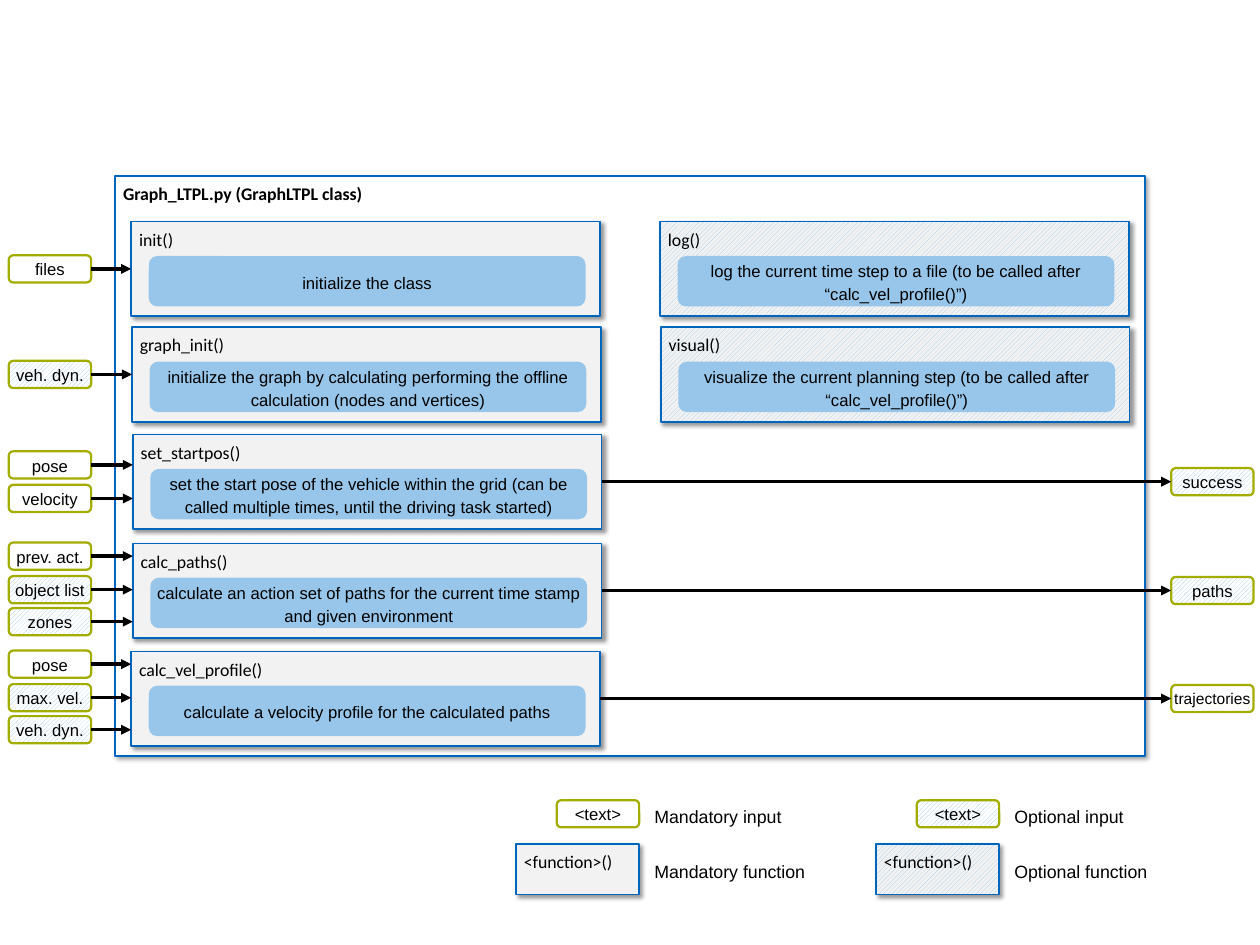
from lxml.etree import SubElement
from pptx import Presentation
from pptx.dml.color import RGBColor
from pptx.enum.dml import MSO_PATTERN
from pptx.enum.shapes import MSO_CONNECTOR, MSO_SHAPE
from pptx.enum.text import MSO_ANCHOR, MSO_AUTO_SIZE, PP_ALIGN
from pptx.oxml.ns import qn
from pptx.util import Inches, Pt

COLORS = {"black": "000000", "white": "FFFFFF", "blue": "0065BD",
          "light blue": "98C6EA", "gray": "F2F2F2", "green": "A2AD00"}
# kind: preset shape, fill, line, line width, font, size, alignment, anchor, margins
STYLES = {
    "class": (MSO_SHAPE.RECTANGLE, "white", "blue", 1.5, "Calibri", 16,
              PP_ALIGN.LEFT, MSO_ANCHOR.TOP, (0.1, 0.05)),
    "function": (MSO_SHAPE.RECTANGLE, "gray", "blue", 1.5, "Calibri", 16,
                 PP_ALIGN.LEFT, MSO_ANCHOR.TOP, (0.1, 0.05)),
    "description": (MSO_SHAPE.ROUNDED_RECTANGLE, "light blue", None, 0, "Arial", 15,
                    PP_ALIGN.CENTER, MSO_ANCHOR.MIDDLE, (0, 0)),
    "tag": (MSO_SHAPE.ROUNDED_RECTANGLE, "white", "green", 2, "Arial", 15,
            PP_ALIGN.CENTER, MSO_ANCHOR.TOP, (0, 0)),
}
TAG_WIDTH, TAG_HEIGHT = 1.03, 0.34
FUNCTION_WIDTH, FUNCTION_HEIGHT = 5.86, 1.18


def write_text(shape, text, font_name, size, alignment, anchor, margins):
    frame = shape.text_frame
    frame.word_wrap = True
    frame.vertical_anchor = anchor
    frame.margin_left = frame.margin_right = Inches(margins[0])
    frame.margin_top = frame.margin_bottom = Inches(margins[1])
    paragraph = frame.paragraphs[0]
    paragraph.alignment = alignment
    paragraph.line_spacing = 1.14
    run = paragraph.add_run()
    run.text = text
    run.font.name = font_name
    run.font.size = Pt(size)
    run.font.color.rgb = RGBColor.from_string(COLORS["black"])
    return run


def add_box(shapes, kind, text, left, top, width, height, optional=False):
    """Add a styled box; optional ones are hatched, square ones cast a shadow."""
    preset, fill, line, line_width, *text_style = STYLES[kind]
    shape = shapes.add_shape(preset, Inches(left), Inches(top), Inches(width), Inches(height))
    if optional:
        shape.fill.patterned()
        shape.fill.pattern = MSO_PATTERN.WIDE_UPWARD_DIAGONAL
        shape.fill.fore_color.rgb = RGBColor.from_string(COLORS["light blue"])
        shape.fill.back_color.rgb = RGBColor.from_string(COLORS[fill])
    else:
        shape.fill.solid()
        shape.fill.fore_color.rgb = RGBColor.from_string(COLORS[fill])
    if line:
        shape.line.color.rgb = RGBColor.from_string(COLORS[line])
        shape.line.width = Pt(line_width)
    else:
        shape.line.fill.background()
    shape.shadow.inherit = False
    if preset == MSO_SHAPE.RECTANGLE:
        effects = shape._element.spPr.find(qn("a:effectLst"))
        shadow = SubElement(effects, qn("a:outerShdw"), blurRad=str(Pt(4)), dist=str(Pt(3)),
                            dir="2700000", algn="tl", rotWithShape="0")
        color = SubElement(shadow, qn("a:srgbClr"), val=COLORS["black"])
        SubElement(color, qn("a:alpha"), val="40000")
    run = write_text(shape, text, *text_style)
    run.font.bold = kind == "class"
    return shape


presentation = Presentation()
presentation.slide_width = Inches(15.75)
presentation.slide_height = Inches(11.81)
slide = presentation.slides.add_slide(presentation.slide_layouts[6])

add_box(slide.shapes, "class", "Graph_LTPL.py (GraphLTPL class)", 1.44, 2.2, 12.87, 7.25)

# name, description, left, top, optional
functions = [
    ("init()", "initialize the class", 1.64, 2.77, False),
    ("graph_init()", "initialize the graph by calculating performing the offline "
     "calculation (nodes and vertices)", 1.65, 4.09, False),
    ("set_startpos()", "set the start pose of the vehicle within the grid (can be "
     "called multiple times, until the driving task started)", 1.66, 5.43, False),
    ("calc_paths()", "calculate an action set of paths for the current time stamp "
     "and given environment", 1.66, 6.79, False),
    ("calc_vel_profile()", "calculate a velocity profile for the calculated paths",
     1.64, 8.14, False),
    ("log()", "log the current time step to a file (to be called after "
     "“calc_vel_profile()”)", 8.25, 2.77, True),
    ("visual()", "visualize the current planning step (to be called after "
     "“calc_vel_profile()”)", 8.26, 4.09, True),
]
function_boxes = {}
for name, description, left, top, optional in functions:
    group = slide.shapes.add_group_shape()
    function_boxes[name] = add_box(group.shapes, "function", name, left, top,
                                   FUNCTION_WIDTH, FUNCTION_HEIGHT, optional)
    add_box(group.shapes, "description", description, left + 0.22, top + 0.43, 5.46, 0.63)

# (label, optional) of each input from top to bottom
inputs = {
    "init()": [("files", False)],
    "graph_init()": [("veh. dyn.", True)],
    "set_startpos()": [("pose", False), ("velocity", False)],
    "calc_paths()": [("prev. act.", False), ("object list", True), ("zones", True)],
    "calc_vel_profile()": [("pose", False), ("max. vel.", True), ("veh. dyn.", True)],
}
outputs = {"set_startpos()": ("success", True), "calc_paths()": ("paths", True),
           "calc_vel_profile()": ("trajectories", False)}
# Tag tops below the top of the function, by number of inputs
tag_offsets = {1: [0.42], 2: [0.21, 0.63], 3: [-0.01, 0.41, 0.81]}

arrows = []
for name, tags in inputs.items():
    function_box = function_boxes[name]
    for (label, optional), offset in zip(tags, tag_offsets[len(tags)]):
        tag = add_box(slide.shapes, "tag", label, 0.11, function_box.top.inches + offset,
                      TAG_WIDTH, TAG_HEIGHT, optional)
        arrows.append((tag, function_box, len(tags) == 1))
for name, (label, optional) in outputs.items():
    function_box = function_boxes[name]
    tag_top = function_box.top.inches + (FUNCTION_HEIGHT - TAG_HEIGHT) / 2
    tag = add_box(slide.shapes, "tag", label, 14.64, tag_top, TAG_WIDTH, TAG_HEIGHT, optional)
    if label == "trajectories":
        tag.text_frame.paragraphs[0].runs[0].font.size = Pt(14)
    arrows.append((function_box, tag, True))

for source, target, ends_at_middle in arrows:
    middle = source.top + source.height // 2
    arrow = slide.shapes.add_connector(MSO_CONNECTOR.STRAIGHT, source.left + source.width,
                                       middle, target.left, middle)
    arrow.begin_connect(source, 3)
    if ends_at_middle:
        arrow.end_connect(target, 1)
    arrow.line.color.rgb = RGBColor.from_string(COLORS["black"])
    arrow.line.width = Pt(3)
    SubElement(arrow.line._get_or_add_ln(), qn("a:tailEnd"), type="triangle")
    SubElement(arrow._element.spPr, qn("a:effectLst"))

for word, shift, optional in [("Mandatory", 0, False), ("Optional", 4.5, True)]:
    add_box(slide.shapes, "tag", "<text>", 6.96 + shift, 10, TAG_WIDTH, TAG_HEIGHT, optional)
    add_box(slide.shapes, "function", "<function>()", 6.45 + shift, 10.55, 1.54, 0.63, optional)
    for noun, top in [("input", 10.03), ("function", 10.72)]:
        caption = slide.shapes.add_textbox(Inches(8.18 + shift), Inches(top),
                                           Inches(1.9), Inches(0.28))
        write_text(caption, f"{word} {noun}", "Arial", 16, PP_ALIGN.LEFT,
                   MSO_ANCHOR.TOP, (0, 0))
        caption.text_frame.auto_size = MSO_AUTO_SIZE.SHAPE_TO_FIT_TEXT

presentation.save("out.pptx")
